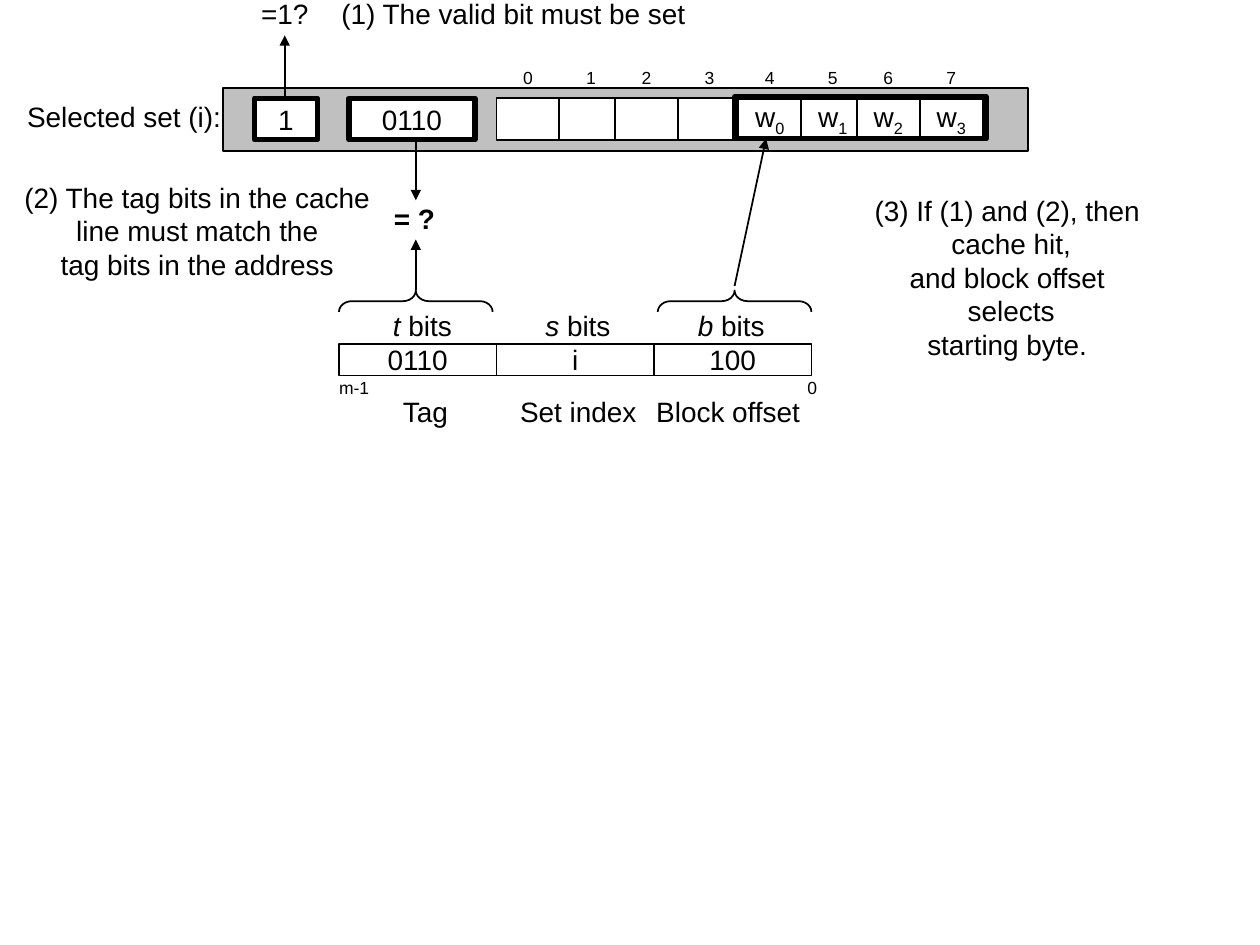
import pptx
import pptx.util
import pptx.dml.color
import pptx.enum.shapes
import pptx.enum.text
import pptx.oxml.ns
import lxml.etree

SHAPE = pptx.enum.shapes.MSO_SHAPE
ALIGN = pptx.enum.text.PP_ALIGN
ANCHOR = pptx.enum.text.MSO_ANCHOR
BLACK, WHITE, GREY = "000000", "FFFFFF", "C0C0C0"

SET_ROW, CELL_HEIGHT, CELL_WIDTH = 0.78, 0.33, 0.5
INDEX_ROW = SET_ROW - CELL_HEIGHT
BLOCK_LEFT, HALF_BLOCK = 3.94, 1.92
CELL_STEPS = [0, 0.5, 0.94, 1.44]
BLOCK_BYTES = ["", "", "", "", "w0", "w1", "w2", "w3"]
LINE_BOXES = [("1", 2.02, 0.5), ("0110", 2.77, 1)]

FIELD_LEFT, FIELD_ROW, FIELD_WIDTH, FIELD_HEIGHT = 2.69, 2.73, 1.25, 0.25
BITS_ROW, NAME_ROW, RANGE_ROW = 2.4, 3.08, 2.94
FIELDS = [
    ("0110", "t", 3.02, 0.75, "Tag", 3.1, 0.66),
    ("i", "s", 4.23, 0.8, "Set index", 4.03, 1.2),
    ("100", "b", 5.44, 0.81, "Block offset", 5.11, 1.42),
]
RANGE_ENDS = [("m-1", 2.59, 0.44), ("0", 6.31, 0.27)]

NOTES = [
    (["Selected set (i):"], 0.07, 0.74, 1.83, 0.37),
    (["=1?"], 1.91, -0.08, 0.7, 0.37),
    (["(1) The valid bit must be set"], 2.56, -0.08, 3.03, 0.37),
    (["(2) The tag bits in the cache", "line must match the",
      "tag bits in the address"], 0.04, 1.38, 3.05, 0.9),
    (["(3) If (1) and (2), then ", "cache hit,", "and block offset ",
      "selects", "starting byte. "], 6.84, 1.48, 2.37, 1.44),
]

ARROWS = [
    (2.26, 0.78, 2.26, 0.28),
    (5.83, 2.27, 6.08, 1.1),
    (3.3, 2.3, 3.3, 1.9),
    (3.3, 1.05, 3.3, 1.59),
]
BRACE_CENTRES, BRACE_MIDDLE, BRACE_DEPTH, BRACE_SPAN = [3.3, 5.83], 2.39, 0.17, 1.22


def inches(*lengths):
    return [pptx.util.Inches(length) for length in lengths]


def colour(code):
    return pptx.dml.color.RGBColor.from_string(code)


def add_outline(page, preset, place, fill=None, weight=1):
    box = page.shapes.add_shape(preset, *inches(*place))
    box.shadow.inherit = False
    if fill:
        box.fill.solid()
        box.fill.fore_color.rgb = colour(fill)
    else:
        box.fill.background()
    box.line.color.rgb = colour(BLACK)
    box.line.width = pptx.util.Pt(weight)
    return box


def write(box, lines, size=16, align=ALIGN.CENTER, anchor=ANCHOR.MIDDLE, bold=False):
    frame = box.text_frame
    frame.word_wrap = False
    frame.vertical_anchor = anchor
    for number, line in enumerate(lines):
        para = frame.paragraphs[0] if number == 0 else frame.add_paragraph()
        para.alignment = align
        para.font.name = "Arial"
        para.font.size = pptx.util.Pt(size)
        para.font.bold = bold
        para.font.color.rgb = colour(BLACK)
        para.add_run().text = line
    return frame.paragraphs[0]


def add_label(page, lines, place, **style):
    box = page.shapes.add_textbox(*inches(*place))
    return write(box, lines, **style)


def add_arrow(page, ends):
    arrow = page.shapes.add_connector(
        pptx.enum.shapes.MSO_CONNECTOR.STRAIGHT, *inches(*ends))
    arrow.line.color.rgb = colour(BLACK)
    arrow.line.width = pptx.util.Pt(1)
    name = pptx.oxml.ns.qn
    head = lxml.etree.SubElement(arrow.line._get_or_add_ln(), name("a:tailEnd"))
    head.set("type", "triangle")
    lxml.etree.SubElement(arrow._element.spPr, name("a:effectLst"))


def draw_cache_line(page):
    for text, left, width in LINE_BOXES:
        place = (left, SET_ROW, width, CELL_HEIGHT)
        write(add_outline(page, SHAPE.RECTANGLE, place, WHITE, 3), [text])
    for index, byte in enumerate(BLOCK_BYTES):
        half, step = divmod(index, len(CELL_STEPS))
        left = BLOCK_LEFT + half * HALF_BLOCK + CELL_STEPS[step]
        cell = add_outline(
            page, SHAPE.RECTANGLE, (left, SET_ROW, CELL_WIDTH, CELL_HEIGHT), WHITE)
        if byte:
            para = write(cell, [byte[0]])
            span = para.add_run()
            span.text = byte[1]
            span.font._element.set("baseline", "-25000")
        add_label(page, [str(index)], (left, INDEX_ROW, CELL_WIDTH, CELL_HEIGHT), size=10)
    add_outline(page, SHAPE.RECTANGLE, (5.83, 0.77, 2, CELL_HEIGHT), weight=3)


def draw_address(page):
    plain = {"align": ALIGN.LEFT, "anchor": ANCHOR.TOP}
    for column, (value, bit, bit_left, bit_width, name, left, width) in enumerate(FIELDS):
        place = (FIELD_LEFT + column * FIELD_WIDTH, FIELD_ROW, FIELD_WIDTH, FIELD_HEIGHT)
        write(add_outline(page, SHAPE.RECTANGLE, place), [value])
        para = add_label(page, [bit], (bit_left, BITS_ROW, bit_width, 0.36), **plain)
        para.runs[0].font.italic = True
        para.add_run().text = " bits"
        add_label(page, [name], (left, NAME_ROW, width, 0.36), **plain)
    for text, left, width in RANGE_ENDS:
        add_label(page, [text], (left, RANGE_ROW, width, 0.27), size=10)
    for centre in BRACE_CENTRES:
        place = (centre - BRACE_DEPTH / 2, BRACE_MIDDLE - BRACE_SPAN / 2,
                 BRACE_DEPTH, BRACE_SPAN)
        brace = add_outline(page, SHAPE.RIGHT_BRACE, place)
        brace.adjustments[0] = 0.6
        brace.rotation = 270


def main():
    deck = pptx.Presentation()
    deck.slide_width, deck.slide_height = inches(10, 7.5)
    page = deck.slides.add_slide(deck.slide_layouts[6])
    add_outline(page, SHAPE.RECTANGLE, (1.77, 0.7, 6.39, 0.5), GREY)
    for ends in ARROWS:
        add_arrow(page, ends)
    draw_cache_line(page)
    draw_address(page)
    for lines, *place in NOTES:
        add_label(page, lines, place)
    add_label(page, ["= ?"], (2.94, 1.55, 0.7, 0.37), bold=True)
    deck.save("out.pptx")


if __name__ == "__main__":
    main()
